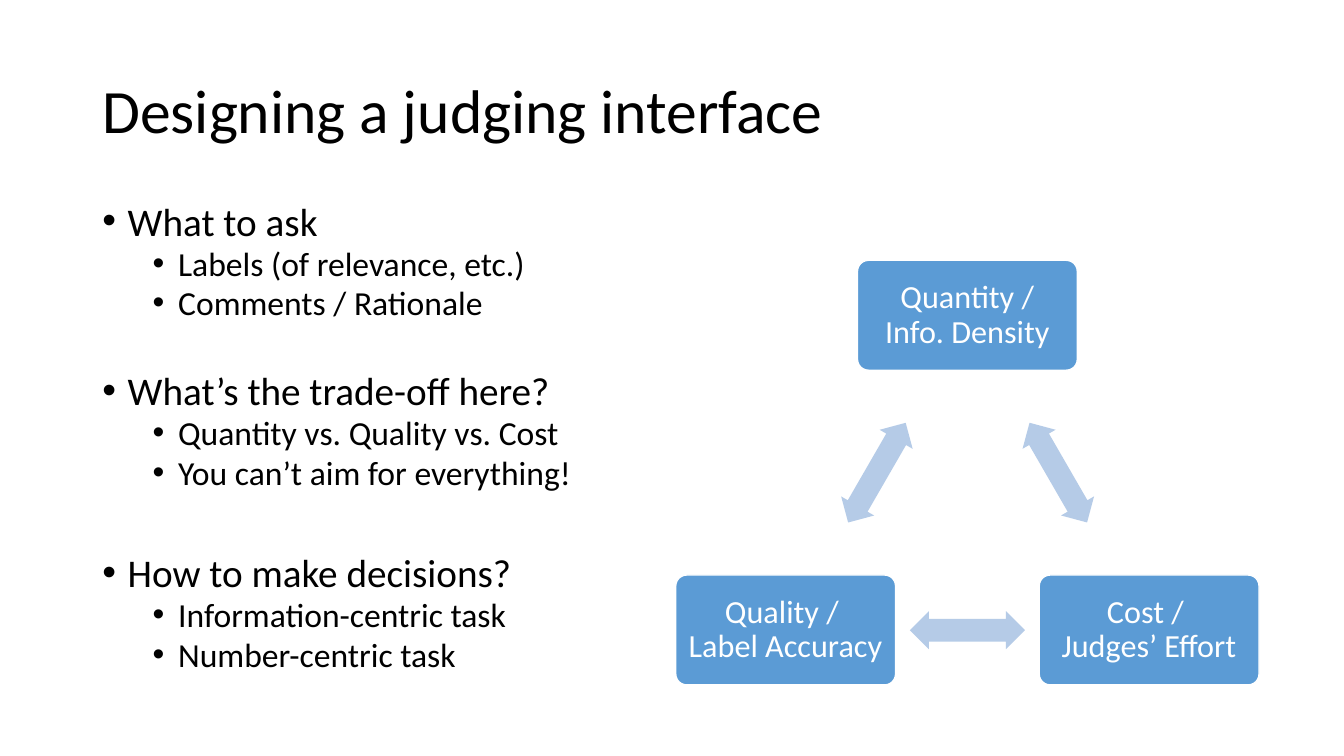
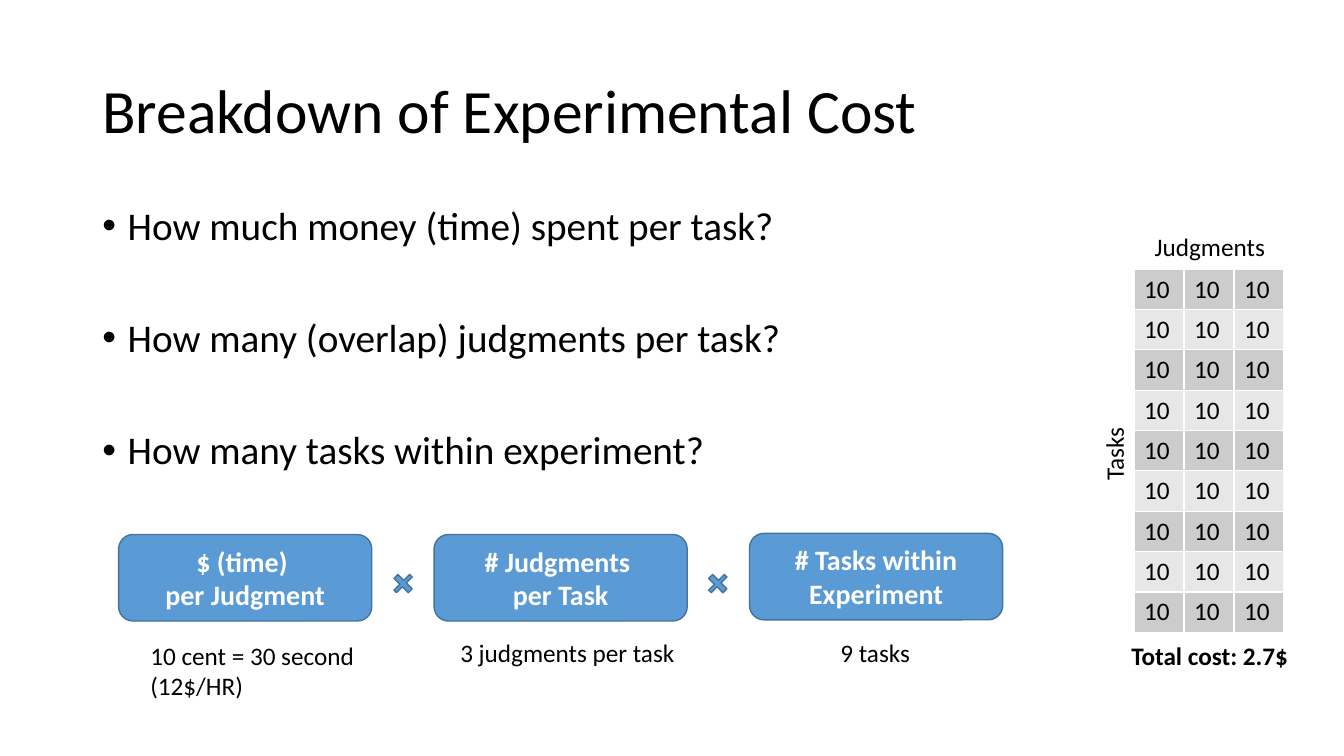
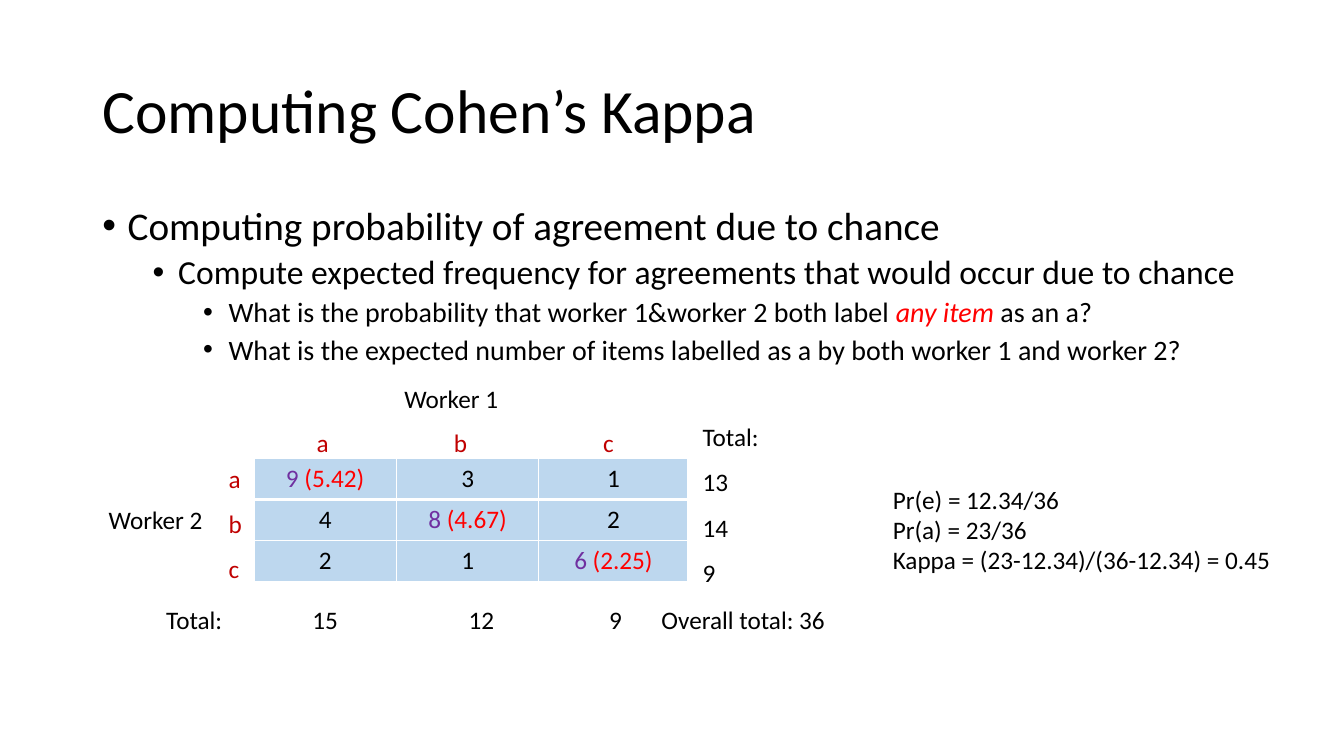
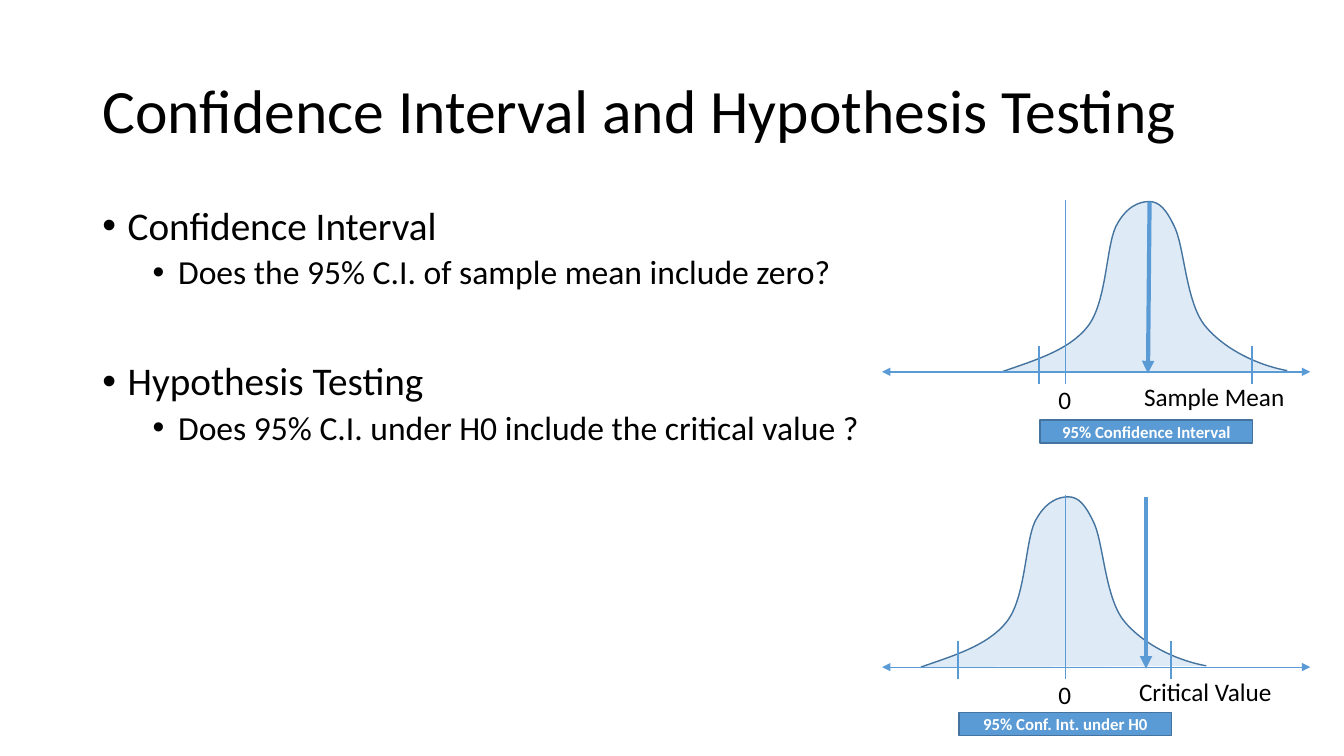
"""Build four slides on judging tasks, their cost, agreement and hypothesis tests."""
from lxml import etree
from pptx import Presentation
from pptx import util as u
from pptx.dml import color as dml
from pptx.enum import shapes, text
from pptx.oxml import ns

FONT = "Calibri"
BLACK, WHITE, RED, DARK_RED, PURPLE = "000000", "FFFFFF", "FF0000", "C00000", "7030A0"
BLUE, EDGE, PALE_BLUE, ARROW_BLUE, CELL_BLUE = "5B9BD5", "43739E", "DEEBF7", "B5CBE7", "BDD7EE"
DARK_GREY, LIGHT_GREY = "CCCCCC", "E7E7E7"
LEFT, CENTER = text.PP_ALIGN.LEFT, text.PP_ALIGN.CENTER
KIND = shapes.MSO_SHAPE
hex_color = dml.RGBColor.from_string


def write(frame, lines, size, color=BLACK, bold=False, align=LEFT, spacing=None, wrap=True):
    """Fill a frame with lines; a line is a string or a list of (text, color, italic)."""
    frame.word_wrap = wrap
    for index, line in enumerate(lines):
        paragraph = frame.paragraphs[0] if index == 0 else frame.add_paragraph()
        paragraph.alignment = align
        paragraph.line_spacing = spacing
        for words, run_color, italic in [(line, color, False)] if isinstance(line, str) else line:
            for part_index, part in enumerate(words.split("\n")):
                if part_index:
                    paragraph.add_line_break()
                run = paragraph.add_run()
                run.text = part
                run.font.name = FONT
                run.font.size = u.Pt(size)
                run.font.bold = bold
                run.font.italic = italic
                run.font.color.rgb = hex_color(run_color)


def paint(shape, fill, line=None):
    """Give a shape a flat fill and an optional thin outline."""
    shape.shadow.inherit = False
    shape.fill.solid()
    shape.fill.fore_color.rgb = hex_color(fill)
    if line:
        shape.line.color.rgb = hex_color(line)
        shape.line.width = u.Pt(1)
    else:
        shape.line.fill.background()


presentation = Presentation()
presentation.slide_width = u.Cm(33.87)
presentation.slide_height = u.Cm(19.05)

pages = [
    ("Designing a judging interface", 0.8, [
        (0, 0, "What to ask"),
        (1, 5, "Labels (of relevance, etc.)"),
        (1, 5, "Comments / Rationale"),
        (0, 38, "What’s the trade-off here?"),
        (1, 5, "Quantity vs. Quality vs. Cost"),
        (1, 5, "You can’t aim for everything!"),
        (0, 47, "How to make decisions?"),
        (1, 5, "Information-centric task"),
        (1, 5, "Number-centric task")]),
    ("Breakdown of Experimental Cost", 0.9, [
        (0, 0, "How much money (time) spent per task?"),
        (0, 50, "How many (overlap) judgments per task?"),
        (0, 50, "How many tasks within experiment?")]),
    ("Computing Cohen’s Kappa", 0.9, [
        (0, 0, "Computing probability of agreement due to chance"),
        (1, 5, "Compute expected frequency for agreements that would occur due to chance"),
        (2, 5, [("What is the probability that worker 1&worker 2 both label ", BLACK, False),
                ("any item ", RED, True), ("as an a?", BLACK, False)]),
        (2, 5, "What is the expected number of items labelled as a by both worker 1 and worker 2?")]),
    ("Confidence Interval and Hypothesis Testing", 0.9, [
        (0, 0, "Confidence Interval"),
        (1, 5, "Does the 95% C.I. of sample mean include zero?"),
        (0, 50, "Hypothesis Testing"),
        (1, 5, "Does 95% C.I. under H0 include the critical value ?")]),
]
slides = []
for title, spacing, bullets in pages:
    slide = presentation.slides.add_slide(presentation.slide_layouts[6])
    slides.append(slide)
    frame = slide.shapes.add_textbox(u.Cm(2.33), u.Cm(1.01), u.Cm(29.21), u.Cm(3.68)).text_frame
    frame.vertical_anchor = text.MSO_ANCHOR.MIDDLE
    write(frame, [title], 44, spacing=0.9)
    frame = slide.shapes.add_textbox(u.Cm(2.33), u.Cm(5.07), u.Cm(29.21), u.Cm(12.09)).text_frame
    write(frame, [words for level, before, words in bullets], 28, spacing=spacing)
    for paragraph, (level, before, words) in zip(frame.paragraphs, bullets):
        paragraph.level = level
        paragraph.space_before = u.Pt(before)
        properties = paragraph._p.get_or_add_pPr()
        properties.set("marL", str(u.Cm(0.64 + 1.27 * level)))
        properties.set("indent", str(u.Cm(-0.64)))
        etree.SubElement(properties, ns.qn("a:buFont")).set("typeface", "Arial")
        etree.SubElement(properties, ns.qn("a:buChar")).set("char", "•")
        for run in paragraph.runs:
            run.font.size = u.Pt(28 - 4 * level)
design, cost, kappa, testing = slides

for left, top, words in [(21.61, 6.56, "Quantity / Info. Density"),
                         (26.19, 14.49, "Cost / \nJudges’ Effort"),
                         (17.03, 14.49, "Quality / \nLabel Accuracy")]:
    corner = design.shapes.add_shape(KIND.ROUNDED_RECTANGLE, u.Cm(left), u.Cm(top), u.Cm(5.54), u.Cm(2.77))
    corner.adjustments[0] = 0.1
    paint(corner, BLUE, WHITE)
    corner.text_frame.margin_left = corner.text_frame.margin_right = u.Cm(0.2)
    write(corner.text_frame, [words], 23, WHITE, align=CENTER, spacing=0.9)

for center_x, center_y, angle in [(26.67, 11.91, 60), (24.38, 15.88, 180), (22.1, 11.91, 300)]:
    arrow = design.shapes.add_shape(
        KIND.LEFT_RIGHT_ARROW, u.Cm(center_x - 1.45), u.Cm(center_y - 0.48), u.Cm(2.9), u.Cm(0.96))
    arrow.adjustments[0], arrow.adjustments[1] = 0.6, 0.5
    arrow.rotation = angle
    paint(arrow, ARROW_BLUE)

for index, (top, words) in enumerate([(13.47, "$ (time) \nper Judgment"),
                                      (13.47, "# Judgments \nper Task"),
                                      (13.44, "# Tasks within Experiment")]):
    factor = cost.shapes.add_shape(
        KIND.ROUNDED_RECTANGLE, u.Cm(2.99 + 7.95 * index), u.Cm(top), u.Cm(6.38), u.Cm(2.18))
    paint(factor, BLUE, EDGE)
    write(factor.text_frame, [words], 20, WHITE, bold=True, align=CENTER)
for left in (9.88, 17.81):
    times = cost.shapes.add_shape(KIND.CROSS, u.Cm(left), u.Cm(14.45), u.Cm(0.56), u.Cm(0.51))
    times.adjustments[0] = 0.41
    times.rotation = 315
    paint(times, BLUE, EDGE)

counts = [[[("9 ", PURPLE, False), ("(5.42)", RED, False)], "3", "1"],
          ["4", [("8 ", PURPLE, False), ("(4.67)", RED, False)], "2"],
          ["2", "1", [("6 ", PURPLE, False), ("(2.25)", RED, False)]]]
tables = [(cost, 28.58, 6.78, [1.26] * 3, 0.97, [["10"] * 3] * 9, LEFT, [DARK_GREY, LIGHT_GREY], 1),
          (kappa, 6.4, 11.56, [3.59, 3.59, 3.76], 1.03, counts, CENTER, [CELL_BLUE], 3)]
for slide, left, top, widths, height, rows, align, fills, first_rule in tables:
    table = slide.shapes.add_table(len(rows), len(widths), u.Cm(left), u.Cm(top),
                                   u.Cm(sum(widths)), u.Cm(height * len(rows))).table
    table.first_row = table.horz_banding = False
    for column, width in zip(table.columns, widths):
        column.width = u.Cm(width)
    for row_index, row in enumerate(rows):
        table.rows[row_index].height = u.Cm(height)
        for column_index, words in enumerate(row):
            cell = table.cell(row_index, column_index)
            write(cell.text_frame, [words], 18, align=align)
            properties = cell._tc.get_or_add_tcPr()
            for side in "LRTB":
                heavy = (row_index, side) in [(0, "B"), (1, "T")]
                border = etree.SubElement(properties, ns.qn("a:ln" + side))
                border.set("w", str(u.Pt(first_rule if heavy else 1)))
                border_fill = etree.SubElement(border, ns.qn("a:solidFill"))
                etree.SubElement(border_fill, ns.qn("a:srgbClr")).set("val", WHITE)
            cell.fill.solid()
            cell.fill.fore_color.rgb = hex_color(fills[row_index % len(fills)])

labels = [
    (cost, 3.54, 16, 6.22, 1.8, ["10 cent = 30 second", "(12$/HR)"], BLACK, None, []),
    (cost, 11.35, 15.93, 5.97, 1.02, ["3 judgments per task"], BLACK, None, []),
    (cost, 20.93, 15.93, 2.29, 1.02, ["9 tasks"], BLACK, None, []),
    (cost, 28.85, 5.7, 3.33, 1.02, ["Judgments"], BLACK, None, []),
    (kappa, 9.94, 9.53, 2.9, 1.02, ["Worker 1"], BLACK, None, []),
    (kappa, 2.49, 12.59, 2.9, 1.02, ["Worker 2"], BLACK, None, []),
    (kappa, 7.73, 10.64, 9, 1.02, ["a\tb\tc"], DARK_RED, None, [3.46, 7.22]),
    (kappa, 5.51, 11.16, 0.86, 3.71, ["a", "b", "c"], DARK_RED, 1.5, []),
    (kappa, 3.94, 15.11, 17.45, 1.02, ["Total:\t15\t12\t9\tOverall total: 36"], BLACK, None,
     [3.68, 7.62, 11.16, 12.48]),
    (kappa, 17.46, 10.11, 2.08, 5.64, ["Total:", "13", "14", "9"], BLACK, 1.5, []),
    (kappa, 22.25, 12.08, 10.36, 3.33,
     ["Pr(e) = 12.34/36", "Pr(a) = 23/36", "Kappa = (23-12.34)/(36-12.34) = 0.45"], BLACK, None, []),
]
for slide, left, top, width, height, lines, color, spacing, stops in labels:
    frame = slide.shapes.add_textbox(u.Cm(left), u.Cm(top), u.Cm(width), u.Cm(height)).text_frame
    write(frame, lines, 18, color, spacing=spacing, wrap=bool(stops))
    if stops:
        tabs = etree.SubElement(frame.paragraphs[0]._p.get_or_add_pPr(), ns.qn("a:tabLst"))
        for stop in stops:
            tab = etree.SubElement(tabs, ns.qn("a:tab"))
            tab.set("pos", str(u.Cm(stop)))
            tab.set("algn", "l")

total = cost.shapes.add_textbox(u.Cm(28.26), u.Cm(16), u.Cm(4.5), u.Cm(1.02))
write(total.text_frame, ["Total cost: 2.7$"], 18, bold=True, wrap=False)
tasks = cost.shapes.add_textbox(u.Cm(27.15), u.Cm(10.93), u.Cm(1.85), u.Cm(1.02))
tasks.rotation = 270
write(tasks.text_frame, ["Tasks"], 18, wrap=False)

bell = [
    (-3.71, 0),
    (-2.92, 0.28), (-2.03, 0.53), (-1.55, 1.14),
    (-1.07, 1.75), (-1.09, 3.12), (-0.84, 3.66),
    (-0.58, 4.17), (-0.25, 4.29), (0, 4.29),
    (0.25, 4.29), (0.43, 4.11), (0.66, 3.61),
    (0.89, 3.07), (0.94, 1.75), (1.4, 1.17),
    (1.85, 0.61), (2.67, 0.18), (3.48, 0.03),
]
zero_x = 26.85
for mean, axis, axis_width, arrow_top, arrow_foot, label_left, label_width, label, bar_top, interval in [
        (26.92, 16.81, 0.5, 28.88, 28.88, 28.14, 4.47, "Critical Value", 17.95, "95% Conf. Int. under H0"),
        (28.96, 9.37, 1.5, 28.97, 28.93, 28.06, 5.08, "Sample Mean", 10.58, "95% Confidence Interval")]:
    points = [(u.Cm(mean + x), u.Cm(axis - y)) for x, y in bell]
    builder = testing.shapes.build_freeform(*points[0])
    builder.add_line_segments(points[1:], close=False)
    curve = builder.convert_to_shape()
    paint(curve, PALE_BLUE, EDGE)
    outline = curve._element.find(".//" + ns.qn("a:path"))
    segments = outline.findall(ns.qn("a:lnTo"))
    for index in range(0, len(segments), 3):
        bezier = etree.SubElement(outline, ns.qn("a:cubicBezTo"))
        for segment in segments[index:index + 3]:
            bezier.append(segment[0])
            outline.remove(segment)

    for start_x, start_y, end_x, end_y, width, ends in [
            (22.23, axis, 33.02, axis, axis_width, ["headEnd", "tailEnd"]),
            (mean - 2.78, axis - 0.66, mean - 2.78, axis + 0.3, 1.5, []),
            (mean + 2.59, axis - 0.66, mean + 2.59, axis + 0.3, 1.5, []),
            (zero_x, axis - 4.34, zero_x, axis + 0.3, 0.5, []),
            (arrow_top, axis - 4.29, arrow_foot, axis + 0.04, 3, ["tailEnd"])]:
        line = testing.shapes.add_connector(
            shapes.MSO_CONNECTOR.STRAIGHT, u.Cm(start_x), u.Cm(start_y), u.Cm(end_x), u.Cm(end_y))
        line.line.color.rgb = hex_color(BLUE)
        line.line.width = u.Pt(width)
        for end in ends:
            etree.SubElement(line.line._get_or_add_ln(), ns.qn("a:" + end)).set("type", "triangle")
        etree.SubElement(line._element.spPr, ns.qn("a:effectLst"))

    zero = testing.shapes.add_textbox(u.Cm(26.42), u.Cm(axis + 0.18), u.Cm(0.84), u.Cm(1.02))
    write(zero.text_frame, ["0"], 18, wrap=False)
    caption = testing.shapes.add_textbox(u.Cm(label_left), u.Cm(axis + 0.11), u.Cm(label_width), u.Cm(1.02))
    write(caption.text_frame, [label], 18, align=CENTER)
    bar = testing.shapes.add_shape(KIND.RECTANGLE, u.Cm(mean - 2.75), u.Cm(bar_top), u.Cm(5.36), u.Cm(0.58))
    paint(bar, BLUE, EDGE)
    bar.text_frame.margin_top = bar.text_frame.margin_bottom = u.Cm(0)
    write(bar.text_frame, [interval], 12, WHITE, bold=True, align=CENTER)

presentation.save("out.pptx")
